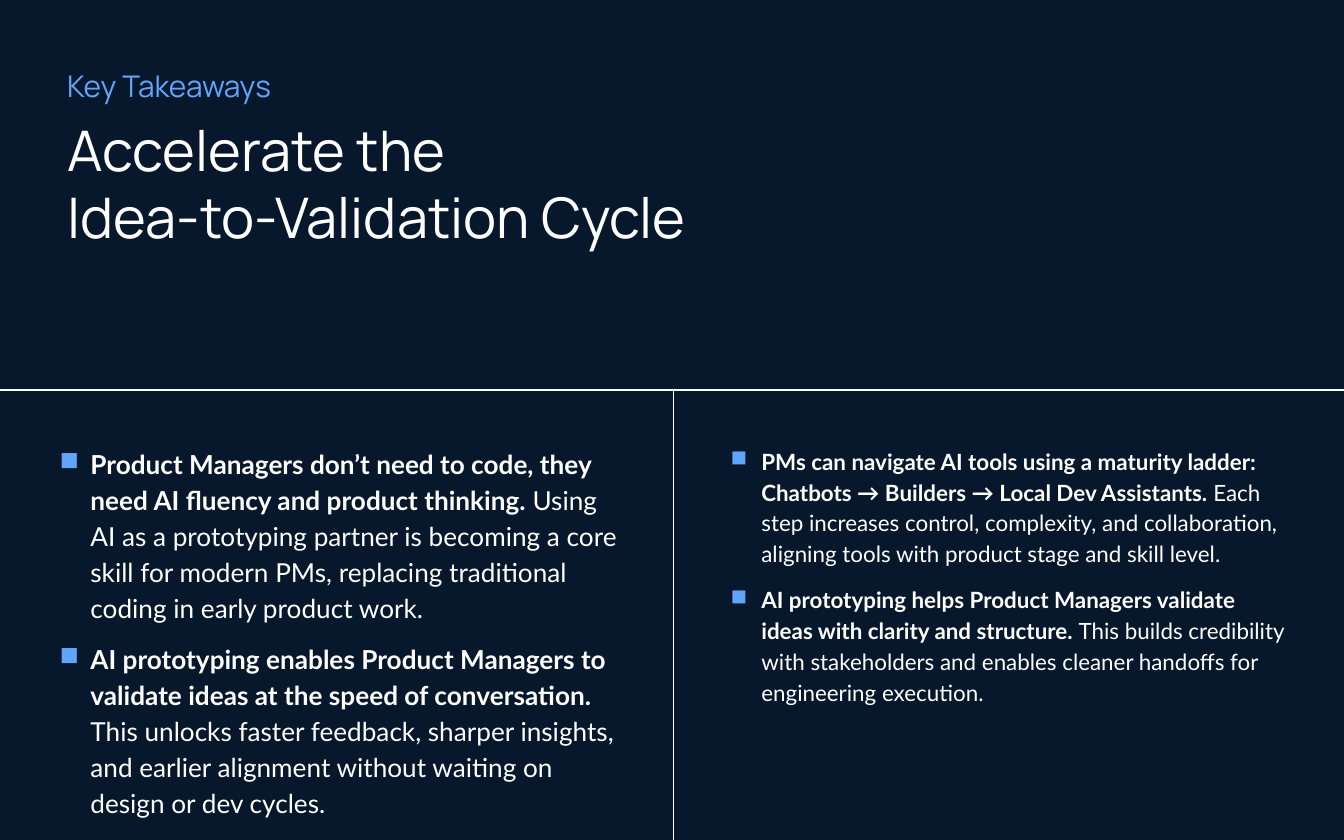
from dataclasses import dataclass

from lxml.etree import SubElement
from pptx import Presentation
from pptx.dml.color import RGBColor
from pptx.enum.shapes import MSO_CONNECTOR
from pptx.enum.text import MSO_ANCHOR, MSO_AUTO_SIZE, PP_ALIGN
from pptx.oxml.ns import qn
from pptx.util import Cm, Pt

NAVY = RGBColor(0x07, 0x18, 0x2C)
BLUE = RGBColor(0x60, 0xA5, 0xFA)
WHITE = RGBColor(0xFF, 0xFF, 0xFF)

SLIDE_WIDTH, SLIDE_HEIGHT = Cm(25.4), Cm(15.88)
MARGIN = Cm(1.27)
PANEL_TOP = Cm(7.37)
PANEL_WIDTH = Cm(12.67)
PANEL_PADDING = Cm(1.02)
MIDDLE = Cm(12.73)


@dataclass
class Takeaway:
    claim: str
    detail: str


@dataclass
class Panel:
    left: int
    height: int
    size: int
    takeaways: list[Takeaway]


PANELS = [
    Panel(Cm(0.05), Cm(10.11), 14, [
        Takeaway("Product Managers don’t need to code, they need AI fluency and product thinking. ",
                 "Using AI as a prototyping partner is becoming a core skill for modern PMs, "
                 "replacing traditional coding in early product work."),
        Takeaway("AI prototyping enables Product Managers to validate ideas at the speed of conversation. ",
                 "This unlocks faster feedback, sharper insights, and earlier alignment "
                 "without waiting on design or dev cycles."),
    ]),
    Panel(MIDDLE, Cm(6.99), 12, [
        Takeaway("PMs can navigate AI tools using a maturity ladder: "
                 "Chatbots → Builders → Local Dev Assistants. ",
                 "Each step increases control, complexity, and collaboration, "
                 "aligning tools with product stage and skill level."),
        Takeaway("AI prototyping helps Product Managers validate ideas with clarity and structure. ",
                 "This builds credibility with stakeholders and enables cleaner handoffs "
                 "for engineering execution."),
    ]),
]


def set_frame(shape, padding: int, anchor: MSO_ANCHOR):
    frame = shape.text_frame
    frame.word_wrap = True
    frame.auto_size = MSO_AUTO_SIZE.SHAPE_TO_FIT_TEXT
    frame.vertical_anchor = anchor
    frame.margin_left = frame.margin_right = padding
    frame.margin_top = frame.margin_bottom = padding
    return frame


def set_font(paragraph, name: str, size: int, color: RGBColor) -> None:
    font = paragraph.font
    font.name, font.size = name, Pt(size)
    font.color.rgb = color


def set_heading(shape, text: str, size: int, color: RGBColor) -> None:
    frame = set_frame(shape, 0, MSO_ANCHOR.MIDDLE)
    frame.text = text
    paragraph = frame.paragraphs[0]
    paragraph.alignment = PP_ALIGN.LEFT
    set_font(paragraph, "Manrope", size, color)


def add_bullet(paragraph) -> None:
    properties = paragraph._p.get_or_add_pPr()
    properties.set("marL", str(Cm(0.64)))
    properties.set("indent", str(-Cm(0.58)))
    bullet_color = SubElement(properties, qn("a:buClr"))
    SubElement(bullet_color, qn("a:srgbClr"), val=str(BLUE))
    SubElement(properties, qn("a:buChar"), char="■")


def add_panel(slide, panel: Panel) -> None:
    shape = slide.shapes.add_textbox(panel.left, PANEL_TOP, PANEL_WIDTH, panel.height)
    frame = set_frame(shape, PANEL_PADDING, MSO_ANCHOR.TOP)
    for index, takeaway in enumerate(panel.takeaways):
        paragraph = frame.add_paragraph() if index else frame.paragraphs[0]
        add_bullet(paragraph)
        set_font(paragraph, "Lato", panel.size, WHITE)
        paragraph.line_spacing = 1.15
        if index:
            paragraph.space_before = Pt(8)
        for text, bold in ((takeaway.claim, True), (takeaway.detail, False)):
            run = paragraph.add_run()
            run.text, run.font.bold = text, bold


def add_rule(slide, left: int, top: int, right: int, bottom: int) -> None:
    rule = slide.shapes.add_connector(MSO_CONNECTOR.STRAIGHT, left, top, right, bottom)
    rule.line.color.rgb = WHITE
    rule.line.width = Pt(0.75)
    SubElement(rule._element.spPr, qn("a:effectLst"))


def main() -> None:
    presentation = Presentation()
    presentation.slide_width, presentation.slide_height = SLIDE_WIDTH, SLIDE_HEIGHT
    slide = presentation.slides.add_slide(presentation.slide_layouts[5])
    slide.background.fill.solid()
    slide.background.fill.fore_color.rgb = NAVY

    # Headings
    kicker = slide.shapes.add_textbox(MARGIN, MARGIN, Cm(10.16), Cm(0.69))
    set_heading(kicker, "Key Takeaways", 16, BLUE)
    title = slide.shapes.title
    title.left, title.top, title.width, title.height = MARGIN, Cm(2.16), Cm(22.91), Cm(2.57)
    set_heading(title, "Accelerate the \vIdea-to-Validation Cycle", 30, WHITE)

    # Dividing rules
    add_rule(slide, 0, PANEL_TOP, SLIDE_WIDTH, PANEL_TOP)
    add_rule(slide, MIDDLE, PANEL_TOP, MIDDLE, SLIDE_HEIGHT)

    # Takeaways
    for panel in PANELS:
        add_panel(slide, panel)

    presentation.save("out.pptx")


if __name__ == "__main__":
    main()
